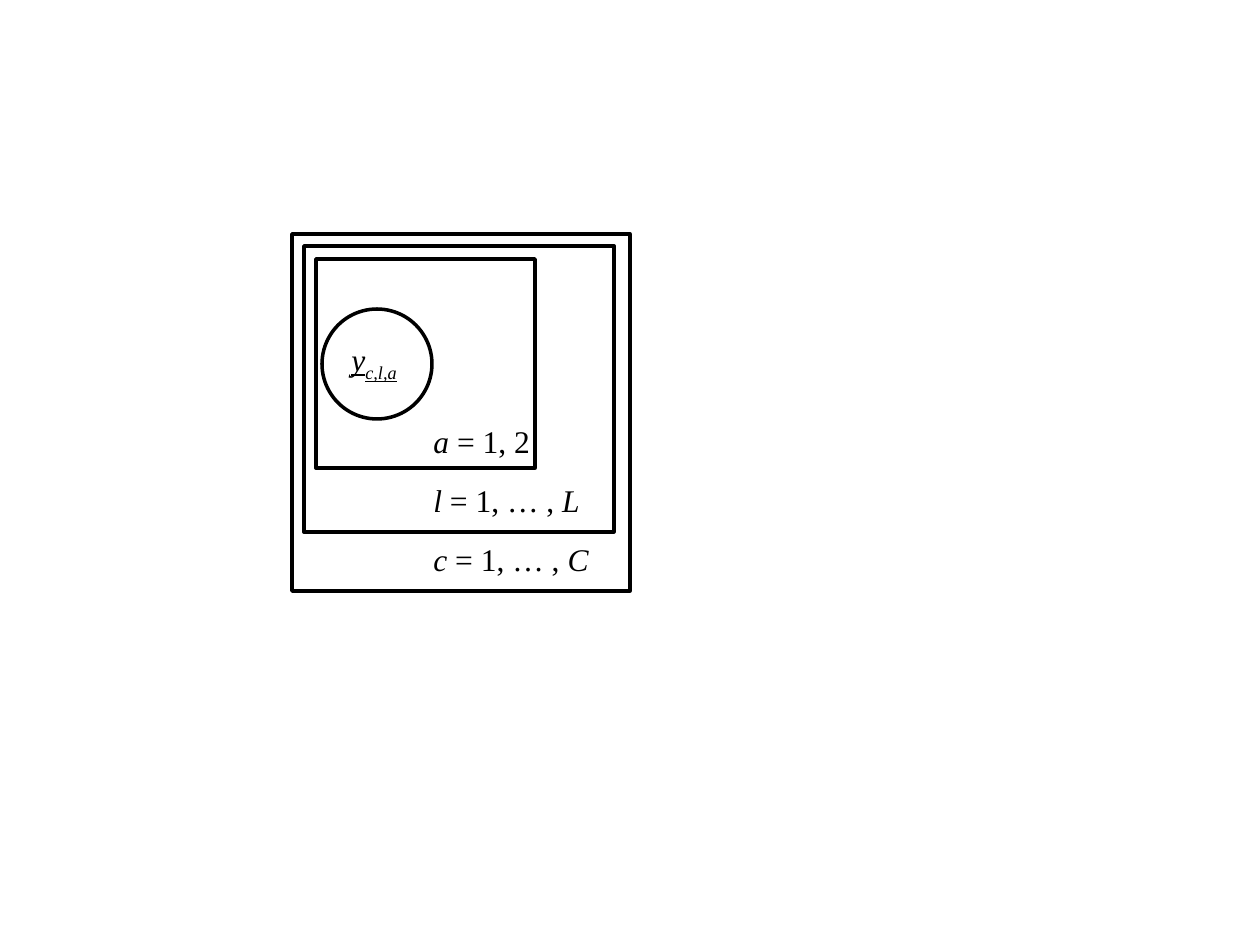
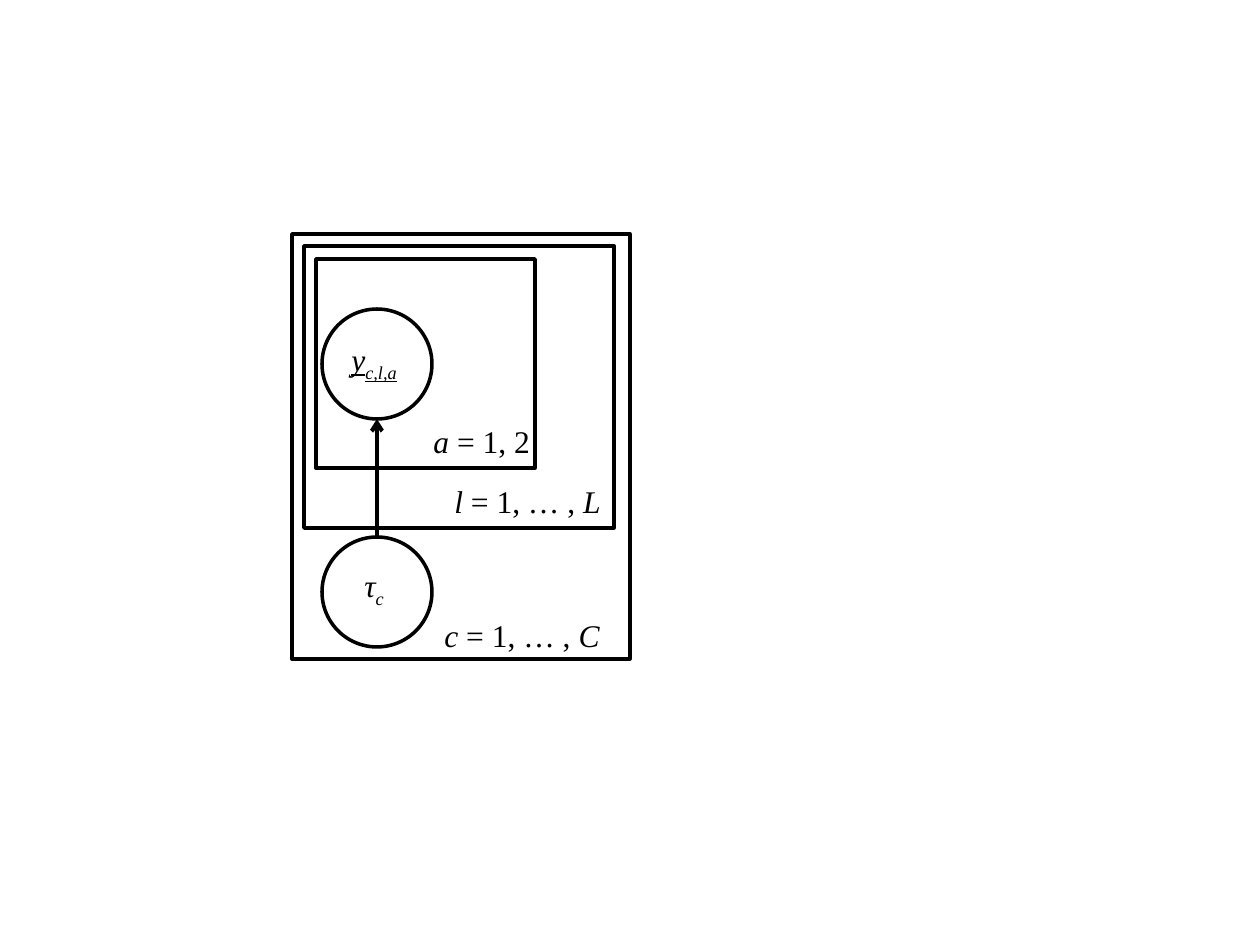
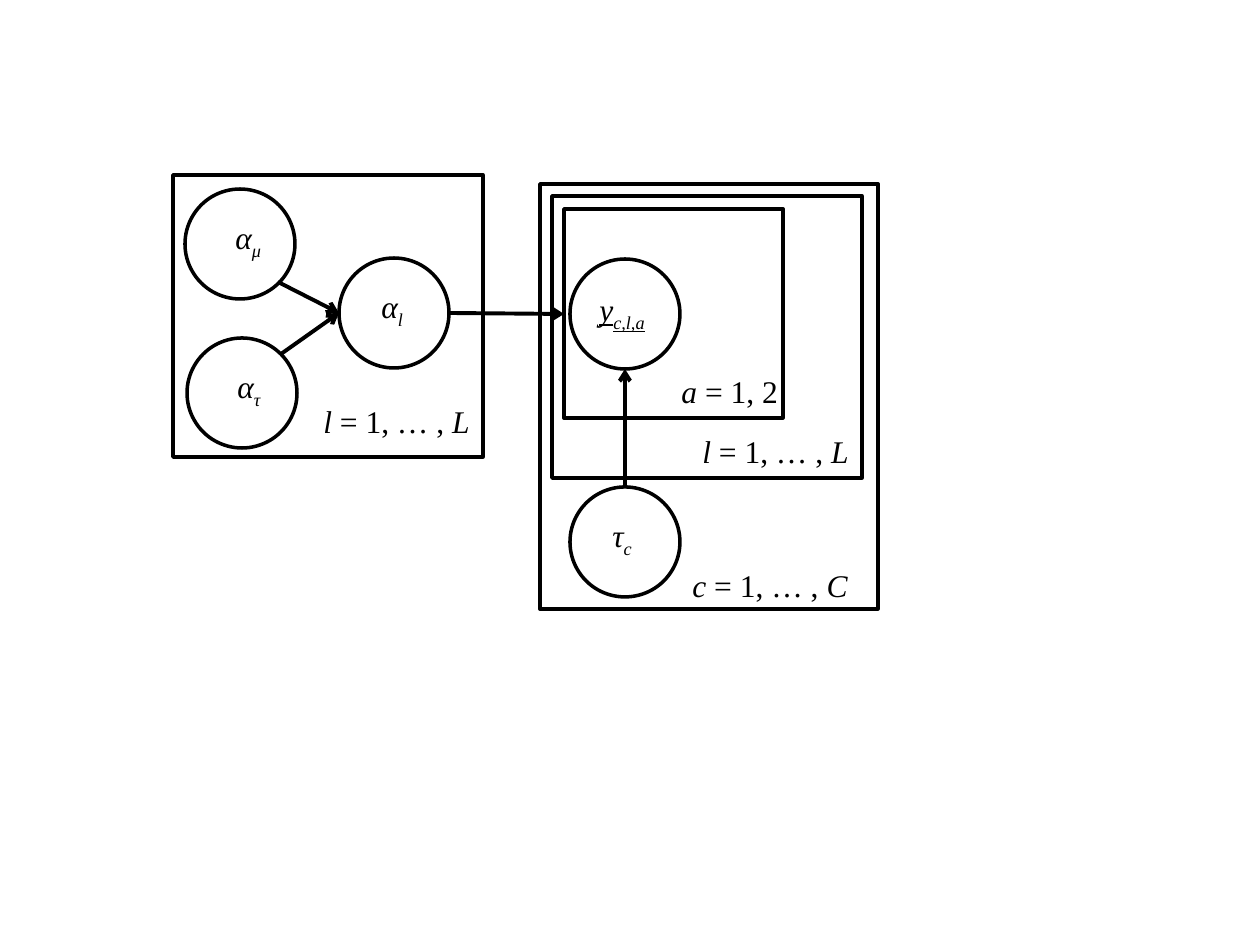
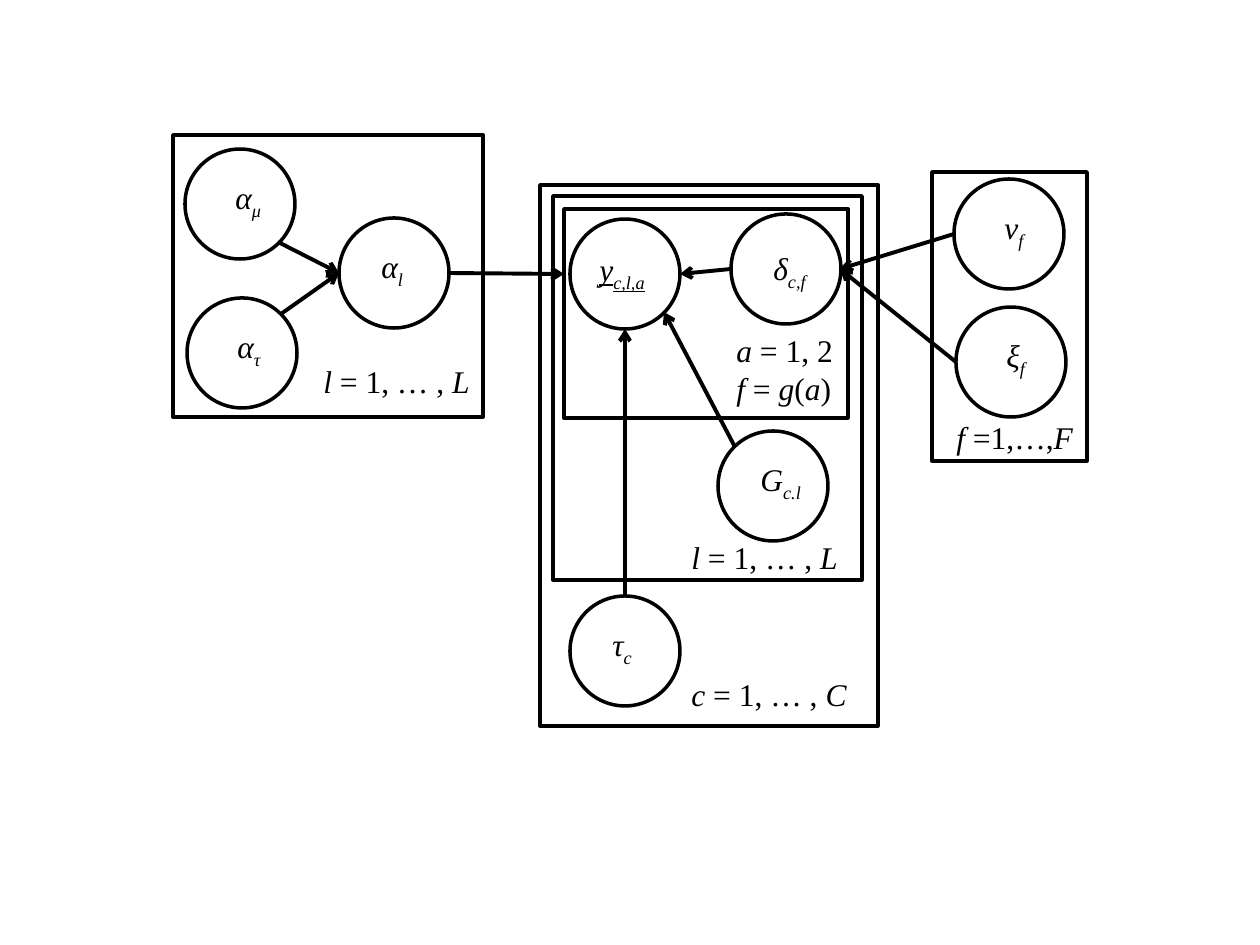
import itertools

import pptx
import pptx.dml.color
import pptx.enum.shapes
import pptx.enum.text
import pptx.oxml.ns
import pptx.util
import lxml.etree

PIXEL = 914400 // 126
BLACK = pptx.dml.color.RGBColor(0x00, 0x00, 0x00)
TEXT_STYLE = {"name": "Times New Roman", "size": pptx.util.Pt(18)}
OUTLINE = pptx.util.Pt(2)
ARROW_LINE = pptx.util.Pt(2.25)
NODE_SIZE = 110
LINE_HEIGHT = 39
SHAPES = pptx.enum.shapes.MSO_SHAPE

# symbol: (letter, subscript, text left and top inside the circle, text width, underline)
VARIABLES = {
    "y": ("y", "c,l,a", 17, 25, 77, True),
    "tau": ("τ", "c", 30, 23, 49, False),
    "alpha_l": ("α", "l", 30, 23, 49, False),
    "alpha_mu": ("α", "μ", 38, 23, 55, False),
    "alpha_tau": ("α", "τ", 38, 23, 52, False),
    "delta": ("δ", "c,f", 30, 29, 61, False),
    "nu": ("v", "f", 38, 23, 46, False),
    "xi": ("ξ", "f", 38, 23, 46, False),
    "G": ("G", "c.l", 30, 23, 69, False),
}

# Parts of the model, each a list of (kind, details, left, top, ...)
OBSERVED = [
    ("node", "y", 322, 309),
    ("plate", 316, 259, 219, 209),
    ("label", ["a = 1, 2"], 421, 416, 123),
]
COMPONENTS_ONLY = [
    ("plate", 292, 234, 338, 357),
    ("label", ["c = 1, … , C"], 421, 534, 184),
    ("plate", 304, 246, 310, 286),
    ("label", ["l = 1, … , L"], 421, 475, 204),
]
WITH_TAU = [
    ("node", "tau", 322, 537),
    ("arrow", 377, 537, 377, 419),
    ("plate", 292, 234, 338, 425),
    ("label", ["c = 1, … , C"], 432, 610, 184),
    ("plate", 304, 246, 310, 282),
    ("label", ["l = 1, … , L"], 442, 476, 204),
]
LOCUS_EFFECTS = [
    ("plate", 173, 175, 310, 282),
    ("label", ["l = 1, … , L"], 311, 396, 204),
    ("node", "alpha_l", 339, 258),
    ("node", "alpha_mu", 185, 189),
    ("node", "alpha_tau", 187, 338),
    ("arrow", 448, 313, 564, 314),
    ("arrow", 278, 282, 339, 313),
    ("arrow", 281, 354, 339, 313),
]
FULL_COMPONENTS = [
    ("node", "y", 570, 219),
    ("node", "tau", 570, 596),
    ("arrow", 625, 596, 625, 329),
    ("plate", 540, 185, 338, 541),
    ("label", ["c = 1, … , C"], 679, 669, 184),
    ("plate", 553, 196, 309, 384),
    ("label", ["l = 1, … , L"], 679, 532, 204),
    ("plate", 564, 209, 284, 209),
    ("label", ["a = 1, 2", "f = g(a)"], 724, 325, 140),
]
FACTORS = [
    ("plate", 932, 172, 155, 289),
    ("node", "delta", 731, 214),
    ("node", "nu", 954, 179),
    ("node", "xi", 956, 307),
    ("arrow", 954, 234, 840, 269),
    ("arrow", 956, 362, 840, 269),
    ("label", ["f =1,…,F"], 944, 412, 161),
    ("node", "G", 718, 431),
    ("arrow", 735, 447, 664, 312),
    ("arrow", 731, 269, 680, 274),
]

# Each slide lists its parts with their shift right and down
SLIDES = [
    [(OBSERVED, 0, 0), (COMPONENTS_ONLY, 0, 0)],
    [(OBSERVED, 0, 0), (WITH_TAU, 0, 0)],
    [(OBSERVED, 248, -50), (WITH_TAU, 248, -50), (LOCUS_EFFECTS, 0, 0)],
    [(FULL_COMPONENTS, 0, 0), (LOCUS_EFFECTS, 0, -40), (FACTORS, 0, 0)],
]


def add_outline(shapes, preset, left, top, width, height):
    """Add an unfilled black outline."""
    outline = shapes.add_shape(preset, *(PIXEL * n for n in (left, top, width, height)))
    outline.shadow.inherit = False
    outline.fill.background()
    outline.line.color.rgb = BLACK
    outline.line.width = OUTLINE


def add_formula(shapes, left, top, width, lines, wrap):
    """Add a text box; each line is a list of (text, format values, baseline)."""
    height = 11 + LINE_HEIGHT * len(lines)
    formula = shapes.add_textbox(*(PIXEL * n for n in (left, top, width, height)))
    frame = formula.text_frame
    frame.word_wrap = wrap
    frame.auto_size = pptx.enum.text.MSO_AUTO_SIZE.SHAPE_TO_FIT_TEXT
    for index, pieces in enumerate(lines):
        paragraph = frame.add_paragraph() if index else frame.paragraphs[0]
        for text, style, baseline in pieces:
            run = paragraph.add_run()
            run.text = text
            run.font.color.rgb = BLACK
            for attribute, value in {**TEXT_STYLE, **style}.items():
                setattr(run.font, attribute, value)
            if baseline:
                run._r.get_or_add_rPr().set("baseline", str(baseline))


deck = pptx.Presentation()
deck.slide_width = pptx.util.Inches(10)
deck.slide_height = pptx.util.Inches(7.5)

for parts in SLIDES:
    shapes = deck.slides.add_slide(deck.slide_layouts[6]).shapes
    for part, right, down in parts:
        for kind, *details in part:
            if kind == "plate":
                left, top, width, height = details
                add_outline(shapes, SHAPES.RECTANGLE, left + right, top + down, width, height)
            elif kind == "label":
                texts, left, top, width = details
                # Letters are italic; digits and signs are upright
                lines = [
                    [("".join(chars), {"italic": is_letter}, 0)
                     for is_letter, chars in itertools.groupby(text, str.isalpha)]
                    for text in texts
                ]
                add_formula(shapes, left + right, top + down, width, lines, True)
            elif kind == "node":
                symbol, left, top = details
                letter, subscript, inset, drop, width, underline = VARIABLES[symbol]
                left, top = left + right, top + down
                node = shapes.add_group_shape().shapes
                add_outline(node, SHAPES.OVAL, left, top, NODE_SIZE, NODE_SIZE)
                style = {"italic": True, "underline": underline or None}
                pieces = [(letter, style, 0), (subscript, style, -25000)]
                add_formula(node, left + inset, top + drop, width, [pieces], False)
            else:
                x1, y1, x2, y2 = details
                ends = (x1 + right, y1 + down, x2 + right, y2 + down)
                arrow = shapes.add_connector(
                    pptx.enum.shapes.MSO_CONNECTOR.STRAIGHT, *(PIXEL * n for n in ends))
                arrow.line.color.rgb = BLACK
                arrow.line.width = ARROW_LINE
                lxml.etree.SubElement(
                    arrow.line._get_or_add_ln(), pptx.oxml.ns.qn("a:tailEnd"), type="arrow")
                lxml.etree.SubElement(
                    arrow._element.spPr, pptx.oxml.ns.qn("a:effectLst"))

deck.save("out.pptx")
